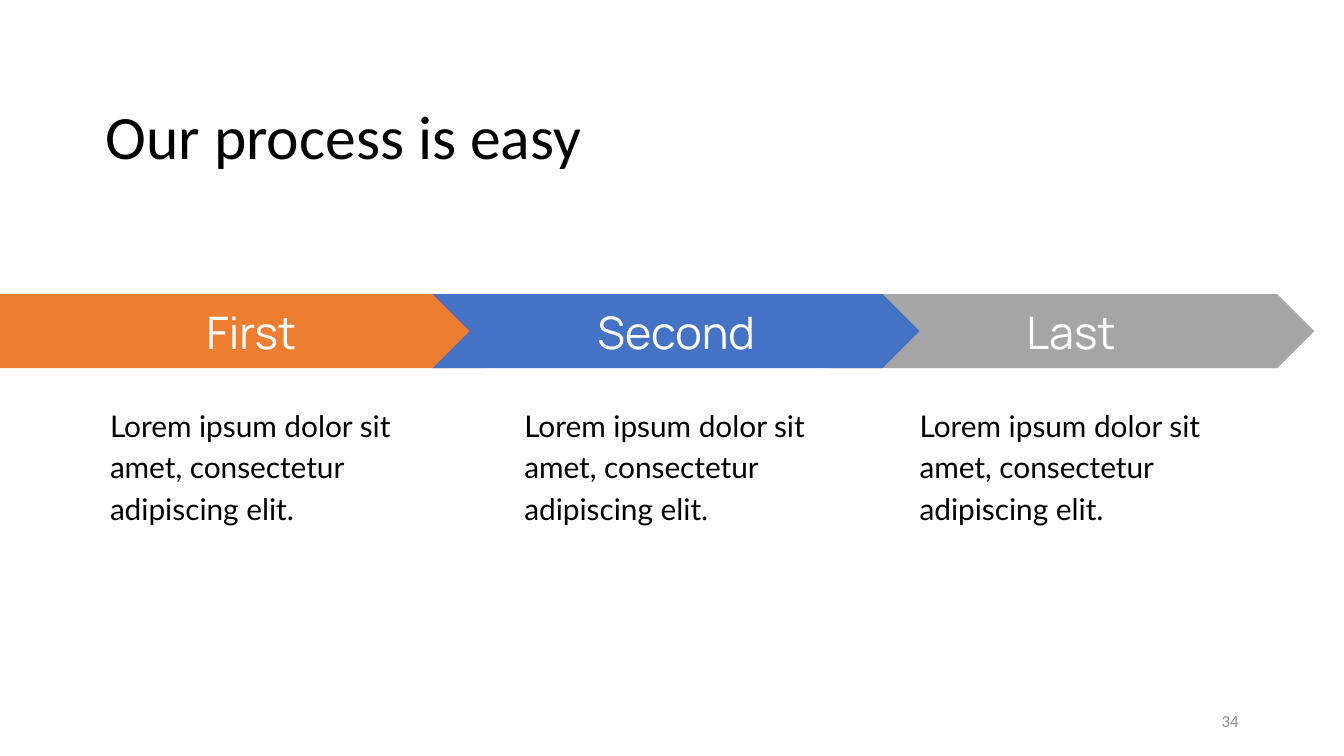
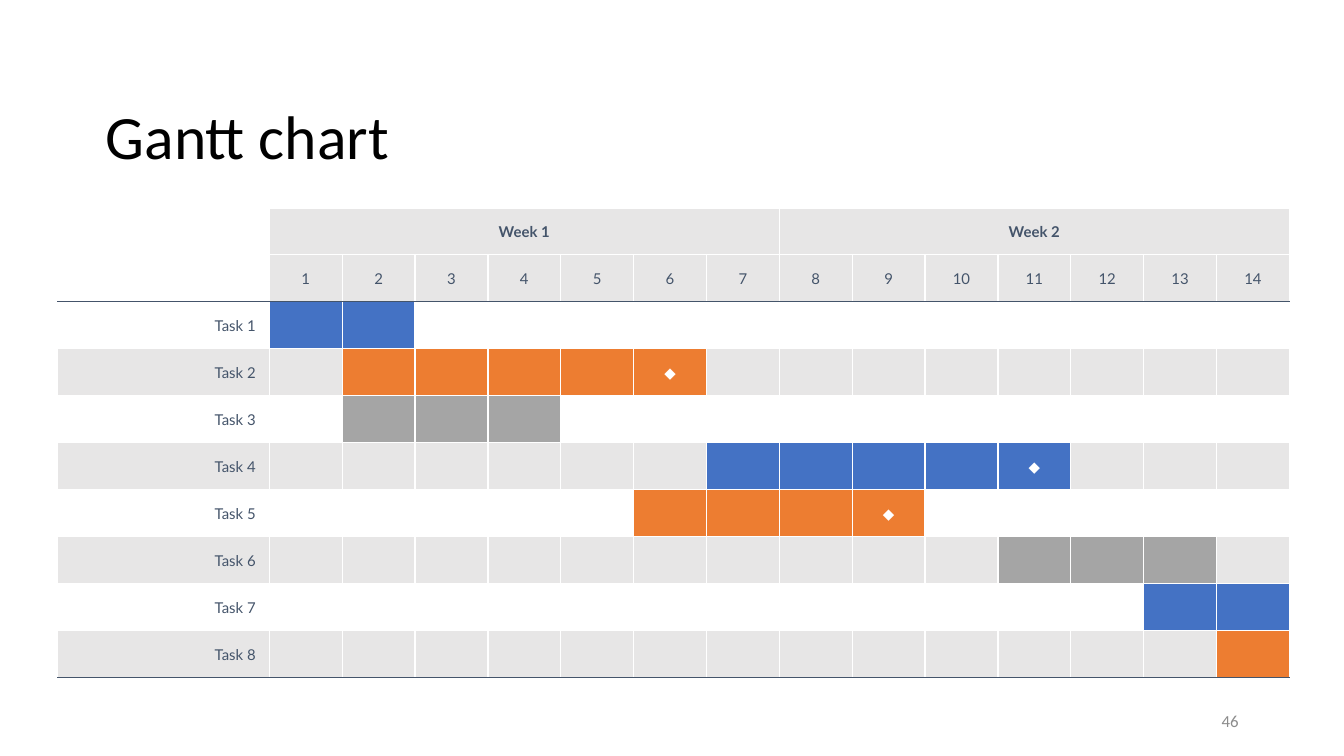
from dataclasses import dataclass
from typing import Optional

from lxml import etree
from pptx import Presentation
from pptx.dml.color import RGBColor
from pptx.enum.shapes import MSO_SHAPE
from pptx.enum.text import MSO_ANCHOR, PP_ALIGN
from pptx.oxml.ns import qn
from pptx.util import Cm, Pt

PENTAGON, CHEVRON = MSO_SHAPE.PENTAGON, MSO_SHAPE.CHEVRON
LEFT, CENTER, RIGHT = PP_ALIGN.LEFT, PP_ALIGN.CENTER, PP_ALIGN.RIGHT
TOP, MIDDLE, BOTTOM = MSO_ANCHOR.TOP, MSO_ANCHOR.MIDDLE, MSO_ANCHOR.BOTTOM


@dataclass(frozen=True)
class TextStyle:
    font: str
    size: float
    color: str
    bold: bool = False
    align: PP_ALIGN = LEFT
    anchor: MSO_ANCHOR = TOP
    spacing: float = 1.0


@dataclass(frozen=True)
class Theme:
    blue: str = "4472C4"
    orange: str = "ED7D31"
    gray: str = "A5A5A5"
    band: str = "E7E6E6"
    slate: str = "44546A"
    white: str = "FFFFFF"
    title: TextStyle = TextStyle("Calibri", 33, "000000", anchor=BOTTOM, spacing=0.9)
    number: TextStyle = TextStyle("Calibri", 9, "8C8C8C", align=RIGHT)
    step: TextStyle = TextStyle("Manrope", 24, "FFFFFF", align=CENTER, anchor=MIDDLE)
    body: TextStyle = TextStyle("Lato", 16, "000000", spacing=1.15)
    week: TextStyle = TextStyle("Lato", 8, "44546A", True, CENTER, MIDDLE)
    day: TextStyle = TextStyle("Lato", 8, "44546A", False, CENTER, MIDDLE)
    task: TextStyle = TextStyle("Lato", 8, "44546A", False, RIGHT, MIDDLE)
    milestone: TextStyle = TextStyle("Lato", 8, "FFFFFF", False, CENTER, MIDDLE)


THEME = Theme()
INSET = Cm(0.25)
BORDER_WIDTH = Pt(0.75)
MILESTONE = "◆"
LOREM = "Lorem ipsum dolor sit amet, consectetur adipiscing elit."


@dataclass(frozen=True)
class Step:
    label: str
    shape: MSO_SHAPE
    color: str
    left: float
    width: float
    text_left: float


@dataclass(frozen=True)
class Task:
    first_day: int
    last_day: int
    color: str
    milestone: Optional[int] = None


# Drawn from back to front, so that the second arrow overlaps its neighbours.
STEPS = [
    Step("Last", CHEVRON, THEME.gray, 15.64, 9.2, 17.13),
    Step("First", PENTAGON, THEME.orange, 0, 9.85, 1.83),
    Step("Second", CHEVRON, THEME.blue, 8.18, 9.2, 9.66),
]

TASKS = [
    Task(1, 2, THEME.blue),
    Task(2, 6, THEME.orange, 6),
    Task(2, 4, THEME.gray),
    Task(7, 11, THEME.blue, 11),
    Task(6, 9, THEME.orange, 9),
    Task(11, 13, THEME.gray),
    Task(13, 14, THEME.blue),
    Task(14, 14, THEME.orange),
]
WEEKS, DAYS_PER_WEEK = 2, 7
DAYS = WEEKS * DAYS_PER_WEEK
HEADER_ROWS = 2


def style_text(tf, text: str, style: TextStyle) -> None:
    tf.text = text
    p = tf.paragraphs[0]
    p.alignment = style.align
    p.line_spacing = style.spacing
    for r in p.runs:
        r.font.name = style.font
        r.font.size = Pt(style.size)
        r.font.bold = style.bold
        r.font.color.rgb = RGBColor.from_string(style.color)


def fill_frame(sp, text: str, style: TextStyle) -> None:
    tf = sp.text_frame
    tf.word_wrap = True
    tf.vertical_anchor = style.anchor
    tf.margin_left = tf.margin_right = tf.margin_top = tf.margin_bottom = INSET
    style_text(tf, text, style)


def add_text(shapes, left: float, top: float, width: float, height: float,
             text: str, style: TextStyle) -> None:
    sp = shapes.add_textbox(Cm(left), Cm(top), Cm(width), Cm(height))
    fill_frame(sp, text, style)


def add_slide(prs, title: str, number: int):
    slide = prs.slides.add_slide(prs.slide_layouts[6])
    add_text(slide.shapes, 1.75, 0.76, 21.9, 2.76, title, THEME.title)
    add_text(slide.shapes, 17.94, 13.24, 5.72, 0.76, str(number), THEME.number)
    return slide


def add_step(slide, step: Step) -> None:
    shapes = slide.shapes.add_group_shape().shapes
    sp = shapes.add_shape(step.shape, Cm(step.left), Cm(5.56), Cm(step.width), Cm(1.4))
    sp.shadow.inherit = False
    sp.fill.solid()
    sp.fill.fore_color.rgb = RGBColor.from_string(step.color)
    sp.line.fill.background()
    fill_frame(sp, step.label, THEME.step)
    add_text(shapes, step.text_left, 7.36, 6.23, 5.46, LOREM, THEME.body)


def set_borders(cell, top: str, bottom: str) -> None:
    """Draw white sides and the given top and bottom edges; call before filling."""
    tc_pr = cell._tc.get_or_add_tcPr()
    edges = {"a:lnL": THEME.white, "a:lnR": THEME.white, "a:lnT": top, "a:lnB": bottom}
    for tag, color in edges.items():
        ln = etree.SubElement(tc_pr, qn(tag), w=str(BORDER_WIDTH))
        fill = etree.SubElement(ln, qn("a:solidFill"))
        etree.SubElement(fill, qn("a:srgbClr"), val=color)


def set_cell(cell, text: str, style: TextStyle, color: Optional[str]) -> None:
    cell.vertical_anchor = style.anchor
    if color:
        cell.fill.solid()
        cell.fill.fore_color.rgb = RGBColor.from_string(color)
    else:
        cell.fill.background()
    style_text(cell.text_frame, text, style)
    if not text:
        # Keeps an empty cell from stretching its row.
        p = cell.text_frame.paragraphs[0]
        etree.SubElement(p._p, qn("a:endParaRPr"), sz=str(int(style.size * 100)))


def header_cell(row: int, day: int) -> tuple[str, TextStyle, Optional[str]]:
    if day == 0:
        return "", THEME.day, None
    if row == 1:
        return str(day), THEME.day, THEME.band
    week, offset = divmod(day - 1, DAYS_PER_WEEK)
    return ("" if offset else f"Week {week + 1}"), THEME.week, THEME.band


def task_cell(index: int, day: int) -> tuple[str, TextStyle, Optional[str]]:
    task = TASKS[index]
    band = THEME.band if index % 2 else None
    if day == 0:
        return f"Task {index + 1}", THEME.task, band
    active = task.first_day <= day <= task.last_day
    text = MILESTONE if day == task.milestone else ""
    return text, THEME.milestone, task.color if active else band


def add_gantt(slide) -> None:
    rows = HEADER_ROWS + len(TASKS)
    label_width, days_width, height = Cm(4), Cm(19.28), Cm(8.88)
    frame = slide.shapes.add_table(rows, DAYS + 1, Cm(1.09), Cm(3.93),
                                   label_width + days_width, height)
    table = frame.table
    table.first_row = table.horz_banding = False
    for i, column in enumerate(table.columns):
        column.width = days_width // DAYS if i else label_width
    for row in table.rows:
        row.height = height // rows
    for first in range(1, DAYS, DAYS_PER_WEEK):
        table.cell(0, first).merge(table.cell(0, first + DAYS_PER_WEEK - 1))

    for row in range(rows):
        top = THEME.slate if row == HEADER_ROWS else THEME.white
        bottom = THEME.slate if row in (HEADER_ROWS - 1, rows - 1) else THEME.white
        for day in range(DAYS + 1):
            cell = table.cell(row, day)
            set_borders(cell, top, bottom)
            if row < HEADER_ROWS:
                set_cell(cell, *header_cell(row, day))
            else:
                set_cell(cell, *task_cell(row - HEADER_ROWS, day))


def main() -> None:
    prs = Presentation()
    prs.slide_width, prs.slide_height = Cm(25.4), Cm(14.29)

    process = add_slide(prs, "Our process is easy", 34)
    for step in STEPS:
        add_step(process, step)

    add_gantt(add_slide(prs, "Gantt chart", 46))
    prs.save("out.pptx")


if __name__ == "__main__":
    main()
